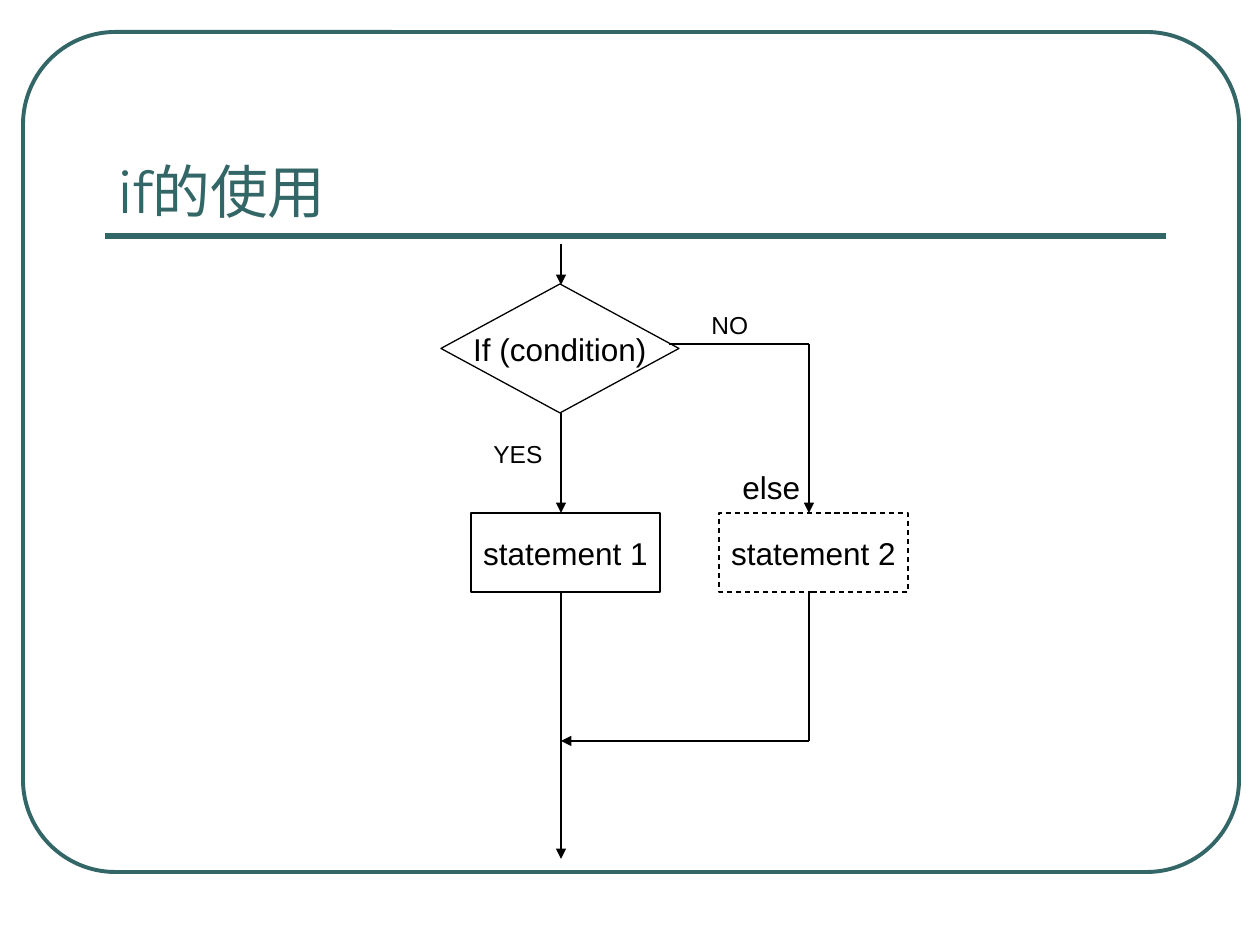
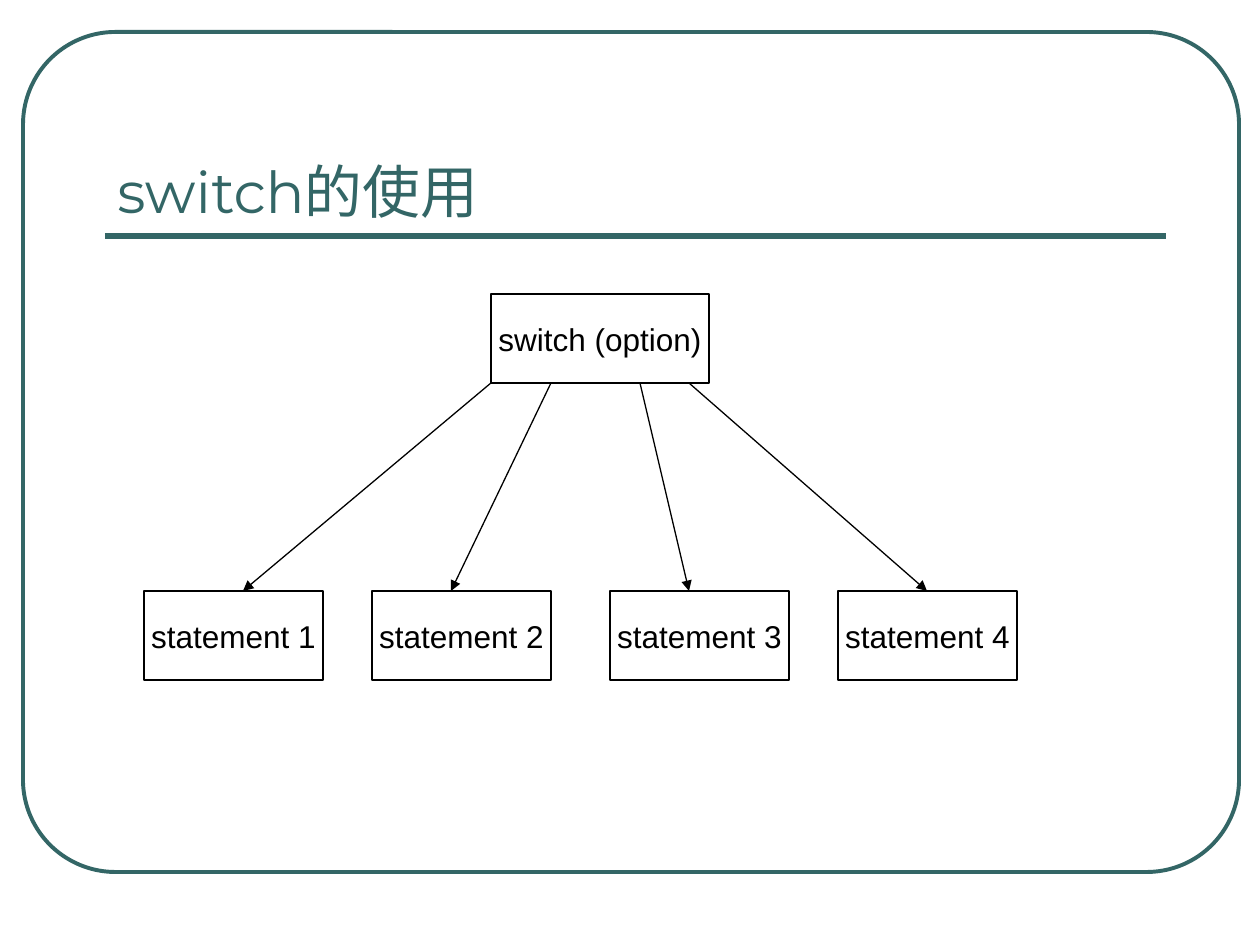
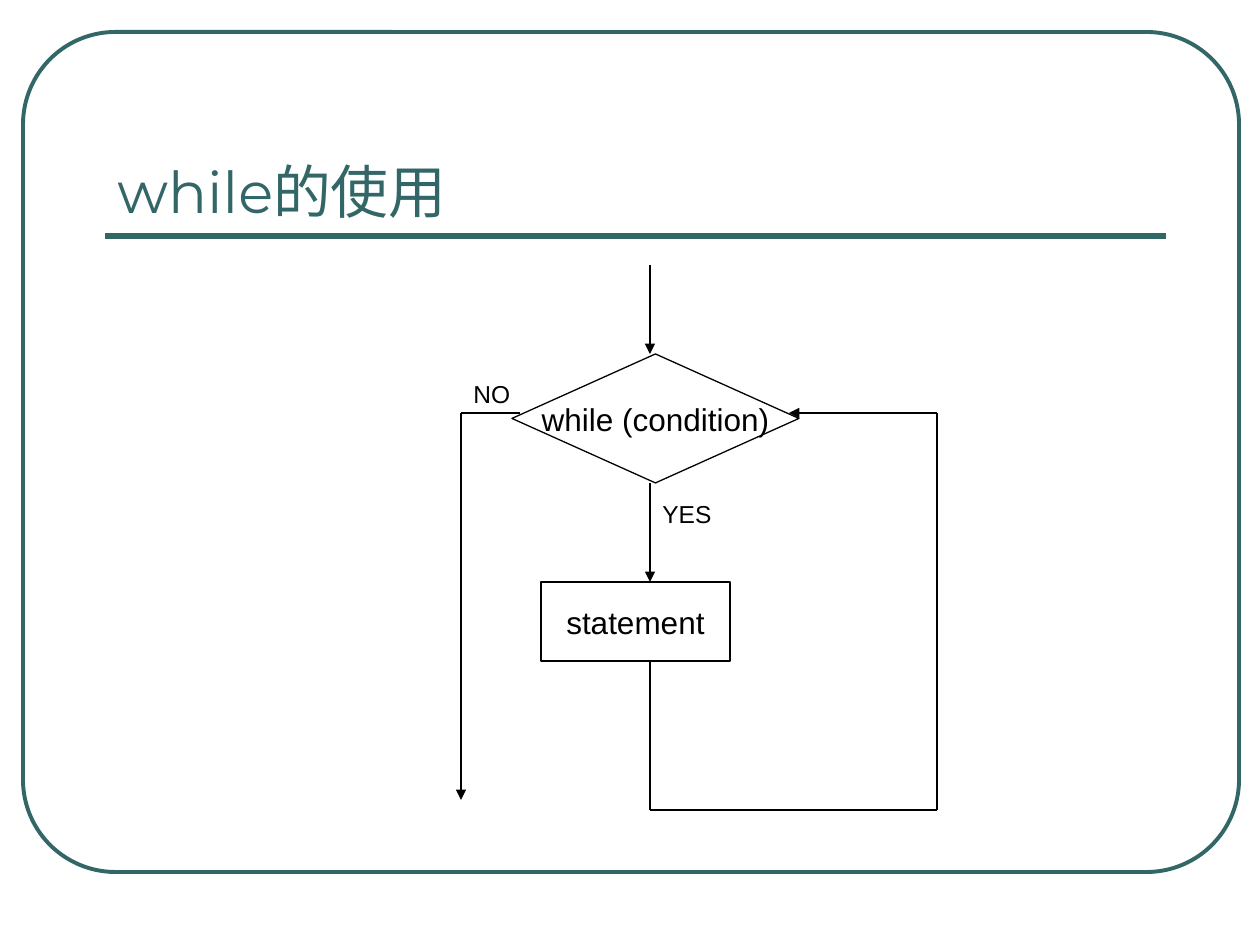
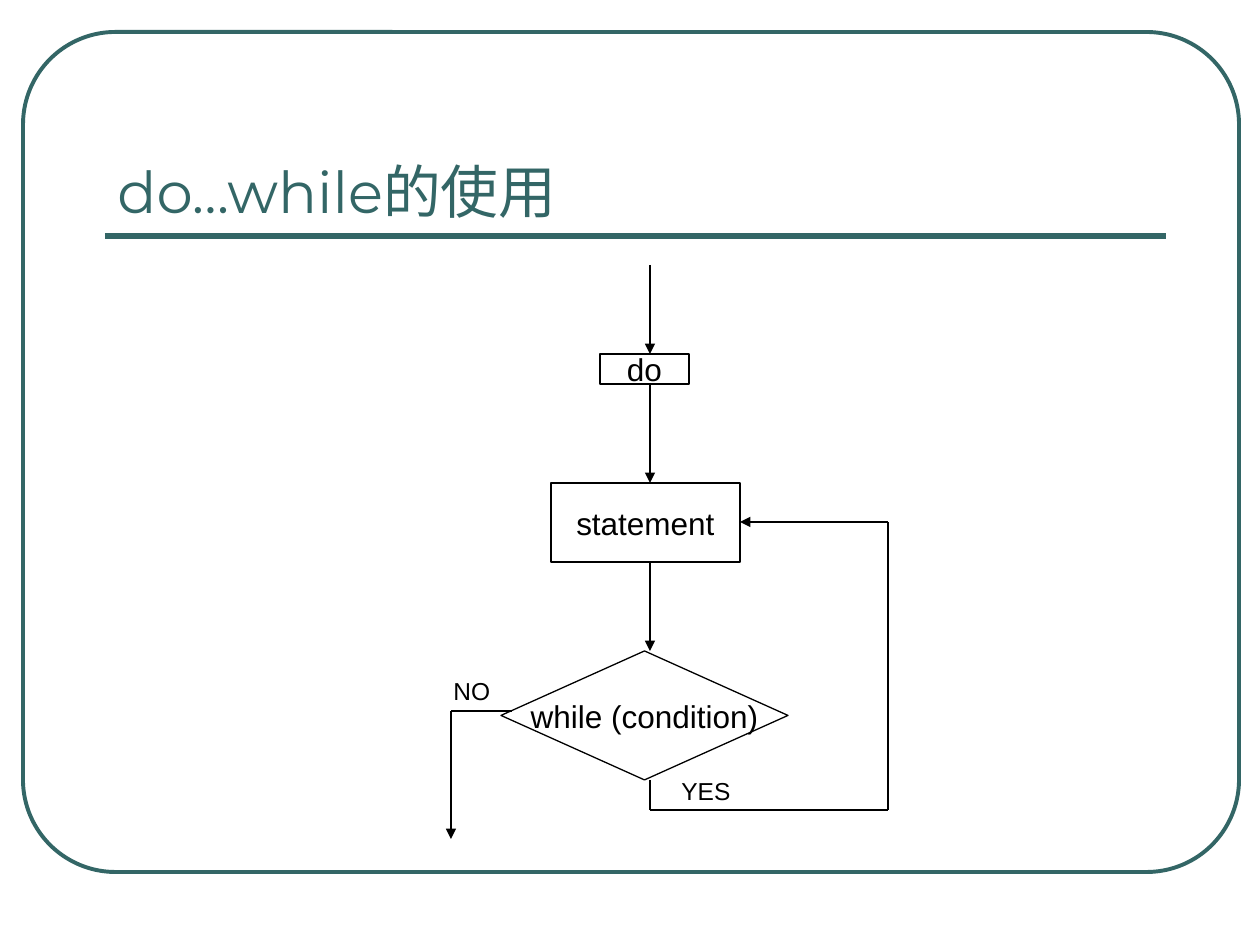
import itertools

import pptx
import pptx.dml.color
import pptx.enum.dml
import pptx.enum.shapes
import pptx.enum.text
import pptx.oxml.ns
import pptx.util
from lxml import etree

PX = 914400 / 126  # EMU per px, slide is 1260 x 945 px
TEAL, BLACK, WHITE = "336666", "000000", "FFFFFF"
RECT = pptx.enum.shapes.MSO_SHAPE.RECTANGLE
DIAMOND = pptx.enum.shapes.MSO_SHAPE.DIAMOND
ROUNDED = pptx.enum.shapes.MSO_SHAPE.ROUNDED_RECTANGLE
LEFT, CENTER = pptx.enum.text.PP_ALIGN.LEFT, pptx.enum.text.PP_ALIGN.CENTER
TOP = pptx.enum.text.MSO_ANCHOR.TOP
MIDDLE = pptx.enum.text.MSO_ANCHOR.MIDDLE
BOTTOM = pptx.enum.text.MSO_ANCHOR.BOTTOM
color = pptx.dml.color.RGBColor.from_string


def write(slide, text, box, outline=None, line=BLACK, width=0.75, fill=None, dashed=False,
          font="Arial", size=18, ink=BLACK, align=CENTER, anchor=MIDDLE, wrap=False, before=0):
    """Put text in a box; outline is a preset shape, or None for a plain text box."""
    place = [round(v * PX) for v in box]
    if outline is None:
        part = slide.shapes.add_textbox(*place)
    else:
        part = slide.shapes.add_shape(outline, *place)
        part.shadow.inherit = False
        part.line.color.rgb = color(line)
        part.line.width = pptx.util.Pt(width)
        if dashed:
            part.line.dash_style = pptx.enum.dml.MSO_LINE.DASH
        if fill:
            part.fill.solid()
            part.fill.fore_color.rgb = color(fill)
        else:
            part.fill.background()
    if text:
        frame = part.text_frame
        frame.word_wrap, frame.vertical_anchor = wrap, anchor
        paragraph = frame.paragraphs[0]
        paragraph.alignment = align
        paragraph.space_before = pptx.util.Pt(before)
        run = paragraph.add_run()
        run.text = text
        run.font.name, run.font.size = font, pptx.util.Pt(size)
        run.font.color.rgb = color(ink)
    return part


def route(slide, points, line=BLACK, width=0.75, arrow=True):
    """Join the points with straight lines; the last one carries the arrowhead."""
    for start, end in itertools.pairwise(points):
        leg = slide.shapes.add_connector(pptx.enum.shapes.MSO_CONNECTOR.STRAIGHT,
                                         *[round(v * PX) for v in (*start, *end)])
        leg.line.color.rgb = color(line)
        leg.line.width = pptx.util.Pt(width)
        if arrow and end == points[-1]:
            etree.SubElement(leg.line._get_or_add_ln(), pptx.oxml.ns.qn("a:tailEnd"), type="triangle")
        etree.SubElement(leg._element.spPr, pptx.oxml.ns.qn("a:effectLst"))


# Sizes that the flowcharts share
STATEMENT = (189, 79)
WHILE = (287, 129)
CASE = (179, 89)

# Each lesson: title, steps (text, outline, left/top, size), routes, labels (text, left, top, width)
lessons = [
    ("if的使用",
     [("If (condition)", DIAMOND, (441, 284), (238, 129)),
      ("statement 1", RECT, (471, 513), STATEMENT),
      ("statement 2", RECT, (719, 513), STATEMENT)],
     [[(561, 244), (561, 285)],
      [(561, 413), (561, 513)],
      [(669, 344), (809, 344), (809, 513)],
      [(809, 592), (809, 741), (561, 741)],
      [(561, 592), (561, 859)]],
     [("else", 730, 462, 139), ("NO", 699, 304, 120), ("YES", 481, 433, 120)]),
    ("switch的使用",
     [("switch (option)", RECT, (491, 294), (218, 89))]
     + [(f"statement {n}", RECT, (left, 591), CASE)
        for n, left in enumerate((144, 372, 610, 838), 1)],
     [[(start, 383), (end, 591)]
      for start, end in ((491, 243), (551, 451), (640, 689), (689, 927))],
     []),
    ("while的使用",
     [("while (condition)", DIAMOND, (512, 354), WHILE),
      ("statement", RECT, (541, 582), STATEMENT)],
     [[(650, 265), (650, 354)],
      [(650, 483), (650, 582)],
      [(650, 661), (650, 810), (937, 810), (937, 413), (789, 413)],
      [(520, 413), (461, 413), (461, 800)]],
     [("YES", 650, 493, 79), ("NO", 461, 373, 79)]),
    ("do…while的使用",
     [("do", RECT, (600, 354), (89, 30)),
      ("statement", RECT, (551, 483), STATEMENT),
      ("while (condition)", DIAMOND, (501, 651), WHILE)],
     [[(650, 265), (650, 354)],
      [(650, 383), (650, 483)],
      [(650, 562), (650, 651)],
      [(650, 780), (650, 810), (888, 810), (888, 522), (740, 522)],
      [(512, 711), (451, 711), (451, 839)]],
     [("YES", 669, 770, 79), ("NO", 441, 670, 79)]),
]

deck = pptx.Presentation()
deck.slide_width, deck.slide_height = round(1260 * PX), round(945 * PX)

for title, steps, routes, labels in lessons:
    slide = deck.slides.add_slide(deck.slide_layouts[6])

    # Frame, title and rule
    border = write(slide, "", (23, 32, 1216, 840), outline=ROUNDED, line=TEAL, width=2.25)
    border.adjustments[0] = 0.11
    route(slide, [(105, 236), (1166, 236)], line=TEAL, width=3, arrow=False)
    write(slide, title, (105, 73, 1061, 158), font="Montserrat", size=33, ink=TEAL,
          align=LEFT, anchor=BOTTOM, wrap=True)

    # Flowchart; the optional else branch is dashed
    for text, outline, corner, size in steps:
        optional = title.startswith("if") and text == "statement 2"
        write(slide, text, (*corner, *size), outline=outline, dashed=optional,
              fill=WHITE if optional else None)
    for points in routes:
        route(slide, points)
    for text, left, top, width in labels:
        size, height, before = (18, 50, 11.2) if text == "else" else (14, 43, 8.8)
        write(slide, text, (left, top, width, height), size=size, align=LEFT, anchor=TOP,
              wrap=True, before=before)

deck.save("out.pptx")
